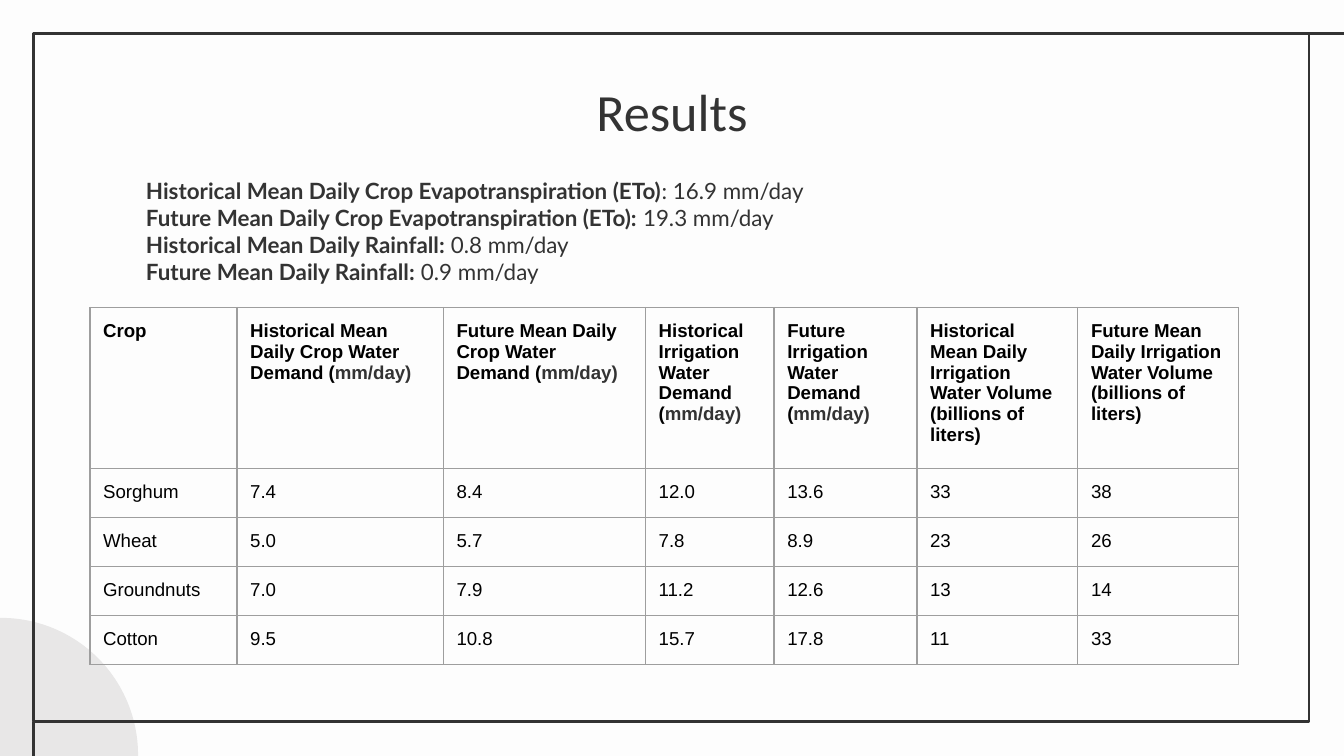
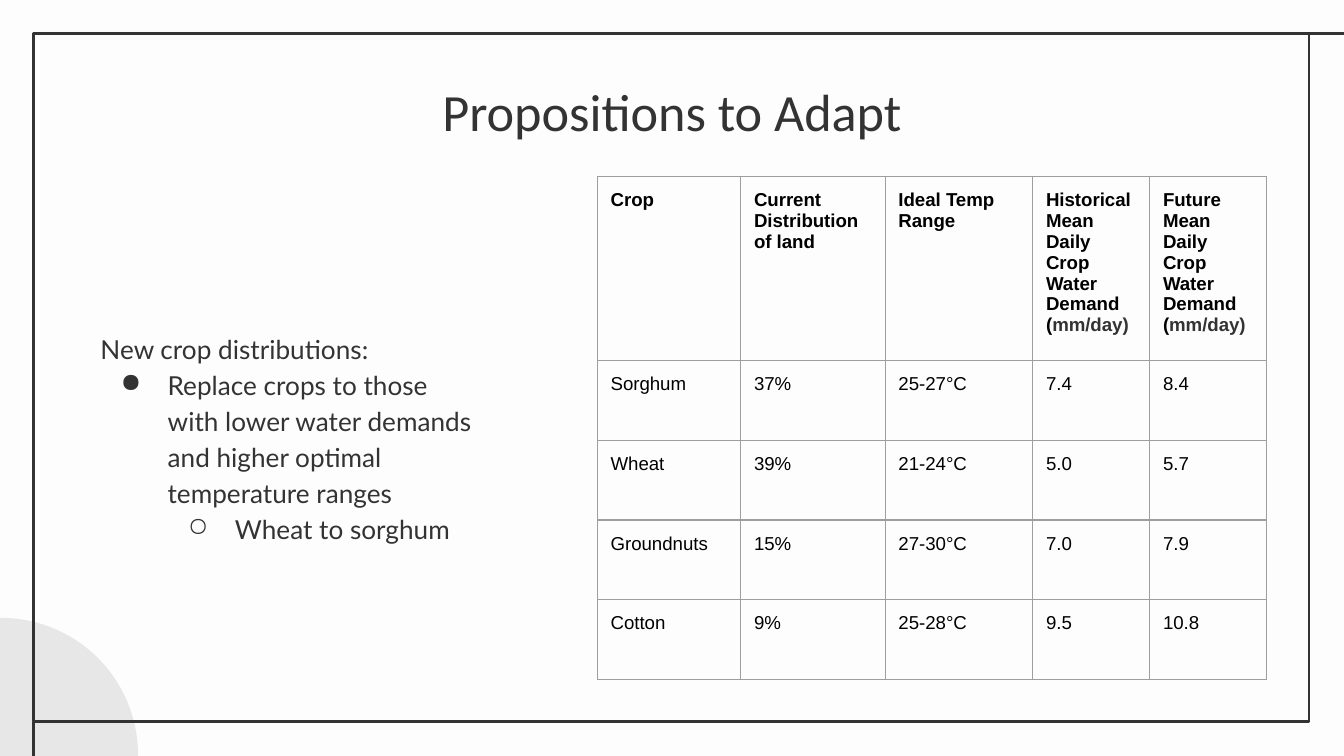
from collections import namedtuple
from lxml.etree import SubElement
from pptx import Presentation
from pptx.dml.color import RGBColor
from pptx.enum.shapes import MSO_CONNECTOR as Connector, MSO_SHAPE as Preset
from pptx.enum.text import MSO_ANCHOR as Anchor, PP_ALIGN as Align
from pptx.oxml.ns import qn
from pptx.util import Cm, Pt

PAPER = RGBColor(0xFD, 0xFD, 0xFD)
INK = RGBColor(0x33, 0x33, 0x33)
BLACK = RGBColor(0x00, 0x00, 0x00)
DISC = RGBColor(0xE8, 0xE7, 0xE7)
GRID = RGBColor(0x9E, 0x9E, 0x9E)

TITLE_FONT, BODY_FONT, TABLE_FONT = "Calibri", "Lato", "Arial"
UNIT = "mm/day)"
PADDING = Cm(0.25)

Box = namedtuple("Box", "left top width height")
SLIDE = Box(0, 0, 25.4, 14.29)
FRAME = Box(0.64, 0.64, 24.1, 13)
TITLE = Box(2, 1.25, 21.4, 1.6)
CLIMATE = Box(2.51, 3.1, 20.2, 1.83)
PROPOSAL = Box(1.65, 3.35, 7.52, 9.8)

CLIMATE_MEANS = [
    ("Historical Mean Daily Crop Evapotranspiration (ETo)", ": 16.9 mm/day"),
    ("Future Mean Daily Crop Evapotranspiration (ETo):", " 19.3 mm/day"),
    ("Historical Mean Daily Rainfall:", " 0.8 mm/day"),
    ("Future Mean Daily Rainfall:", " 0.9 mm/day"),
]
PROPOSAL_LINES = [
    ("New crop distributions:", 0, None),
    ("Replace crops to those with lower water demands and higher optimal "
     "temperature ranges", 1, "●"),
    ("Wheat to sorghum", 2, "○"),
]
CROP_DEMANDS = ["Historical Mean Daily Crop Water Demand (mm/day)",
                "Future Mean Daily Crop Water Demand (mm/day)"]
RESULTS = [
    ["Crop", *CROP_DEMANDS,
     "Historical Irrigation Water Demand (mm/day)",
     "Future Irrigation Water Demand (mm/day)",
     "Historical Mean Daily Irrigation Water Volume (billions of liters)",
     "Future Mean Daily Irrigation Water Volume (billions of liters)"],
    ["Sorghum", "7.4", "8.4", "12.0", "13.6", "33", "38"],
    ["Wheat", "5.0", "5.7", "7.8", "8.9", "23", "26"],
    ["Groundnuts", "7.0", "7.9", "11.2", "12.6", "13", "14"],
    ["Cotton", "9.5", "10.8", "15.7", "17.8", "11", "33"],
]
ADAPTATION = [
    ["Crop", "Current Distribution of land", "Ideal Temp Range", *CROP_DEMANDS],
    ["Sorghum", "37%", "25-27°C", "7.4", "8.4"],
    ["Wheat", "39%", "21-24°C", "5.0", "5.7"],
    ["Groundnuts", "15%", "27-30°C", "7.0", "7.9"],
    ["Cotton", "9%", "25-28°C", "9.5", "10.8"],
]


def in_cm(box):
    """Return the four sides of a box as lengths."""
    return [Cm(side) for side in box]


def add_run(paragraph, text, font, size, color=INK, bold=False):
    """Append one formatted run to a paragraph."""
    run = paragraph.add_run()
    run.text = text
    run.font.name = font
    run.font.size = Pt(size)
    run.font.color.rgb = color
    run.font.bold = bold


def add_text_frame(slide, box, anchor=Anchor.TOP):
    """Add a wrapping text box and return its text frame."""
    frame = slide.shapes.add_textbox(*in_cm(box)).text_frame
    frame.word_wrap = True
    frame.vertical_anchor = anchor
    frame.margin_left = frame.margin_right = PADDING
    frame.margin_top = frame.margin_bottom = PADDING
    return frame


def add_paragraphs(frame, count):
    """Return the given number of paragraphs, starting with the first one."""
    return [frame.paragraphs[0]] + [frame.add_paragraph() for _ in range(count - 1)]


def add_frame_line(slide, *ends):
    """Extend the frame with a straight line."""
    line = slide.shapes.add_connector(Connector.STRAIGHT, *in_cm(ends))
    line.line.color.rgb = INK
    line.line.width = Pt(1.5)
    SubElement(line._element.spPr, qn("a:effectLst"))


def add_backdrop(slide, box):
    """Draw the background, corner disc and frame around a box."""
    slide.background.fill.solid()
    slide.background.fill.fore_color.rgb = PAPER
    disc = slide.shapes.add_shape(Preset.OVAL, *in_cm((-2.57, 11.68, 5.18, 5.18)))
    disc.shadow.inherit = False
    disc.fill.solid()
    disc.fill.fore_color.rgb = DISC
    disc.line.fill.background()
    border = slide.shapes.add_shape(Preset.RECTANGLE, *in_cm(box))
    border.shadow.inherit = False
    border.fill.background()
    border.line.color.rgb = INK
    border.line.width = Pt(1.5)
    right, bottom = box.left + box.width, box.top + box.height
    add_frame_line(slide, SLIDE.width, box.top, right, box.top)
    add_frame_line(slide, box.left, SLIDE.height, box.left, bottom)


def add_title(slide, box, text):
    """Add the centred slide title."""
    paragraph = add_text_frame(slide, box).paragraphs[0]
    paragraph.alignment = Align.CENTER
    add_run(paragraph, text, TITLE_FONT, 28)


def add_climate_means(slide, box):
    """List the climate figures with bold labels."""
    paragraphs = add_paragraphs(add_text_frame(slide, box), len(CLIMATE_MEANS))
    for paragraph, (label, value) in zip(paragraphs, CLIMATE_MEANS):
        add_run(paragraph, label, BODY_FONT, 12, bold=True)
        add_run(paragraph, value, BODY_FONT, 12)


def set_bullet(paragraph, level, symbol):
    """Give a paragraph a hanging bullet."""
    properties = paragraph._p.get_or_add_pPr()
    properties.set("marL", str(Cm(1.27 * level)))
    properties.set("indent", str(-Cm(0.89)))
    color = SubElement(properties, qn("a:buClr"))
    SubElement(color, qn("a:srgbClr"), val=str(INK))
    SubElement(properties, qn("a:buChar"), char=symbol)
    paragraph.level = level - 1


def add_proposal(slide, box):
    """Write the proposed crop changes as a nested list."""
    frame = add_text_frame(slide, box, Anchor.MIDDLE)
    paragraphs = add_paragraphs(frame, len(PROPOSAL_LINES))
    for paragraph, (text, level, symbol) in zip(paragraphs, PROPOSAL_LINES):
        if symbol:
            set_bullet(paragraph, level, symbol)
        paragraph.line_spacing = 1.15
        add_run(paragraph, text, BODY_FONT, 14)


def style_cell(cell):
    """Give a cell its padding, thin borders and clear fill."""
    cell.margin_left = cell.margin_right = PADDING
    cell.margin_top = cell.margin_bottom = PADDING
    properties = cell._tc.get_or_add_tcPr()
    for side in ("lnL", "lnR", "lnT", "lnB"):
        border = SubElement(properties, qn(f"a:{side}"), w=str(Pt(0.75)))
        fill = SubElement(border, qn("a:solidFill"))
        SubElement(fill, qn("a:srgbClr"), val=str(GRID))
    cell.fill.background()


def add_crop_table(slide, left, top, widths, header_height, row_height, rows):
    """Add a crop table whose first row is bold."""
    heights = [header_height] + [row_height] * (len(rows) - 1)
    box = Box(left, top, sum(widths), sum(heights))
    table = slide.shapes.add_table(len(rows), len(widths), *in_cm(box)).table
    table.first_row = table.horz_banding = False
    for column, width in zip(table.columns, widths):
        column.width = Cm(width)
    for row, height, texts in zip(table.rows, heights, rows):
        row.height = Cm(height)
        for cell, text in zip(row.cells, texts):
            style_cell(cell)
            paragraph = cell.text_frame.paragraphs[0]
            bold = texts is rows[0]
            label, unit, _ = text.partition(UNIT)
            add_run(paragraph, label, TABLE_FONT, 10, BLACK, bold)
            if unit:
                add_run(paragraph, unit, TABLE_FONT, 10, INK, bold)


def add_base_slide(presentation, title):
    """Add a blank slide with the shared backdrop and title."""
    slide = presentation.slides.add_slide(presentation.slide_layouts[6])
    add_backdrop(slide, FRAME)
    add_title(slide, TITLE, title)
    return slide


def add_results_slide(presentation):
    """Build the slide with climate means and water demand."""
    slide = add_base_slide(presentation, "Results")
    widths = [2.78, 3.9, 3.82, 2.43, 2.7, 3.04, 3.04]
    add_crop_table(slide, 1.7, 5.81, widths, 2.87, 0.9, RESULTS)
    add_climate_means(slide, CLIMATE)


def add_adaptation_slide(presentation):
    """Build the slide with the proposed crop distribution."""
    slide = add_base_slide(presentation, "Propositions to Adapt")
    add_proposal(slide, PROPOSAL)
    widths = [2.71, 2.73, 2.79, 2.21, 2.21]
    add_crop_table(slide, 11.29, 3.34, widths, 3.27, 1.51, ADAPTATION)


def main():
    """Create and save the presentation."""
    presentation = Presentation()
    presentation.slide_width = Cm(SLIDE.width)
    presentation.slide_height = Cm(SLIDE.height)
    add_results_slide(presentation)
    add_adaptation_slide(presentation)
    presentation.save("out.pptx")


if __name__ == "__main__":
    main()
